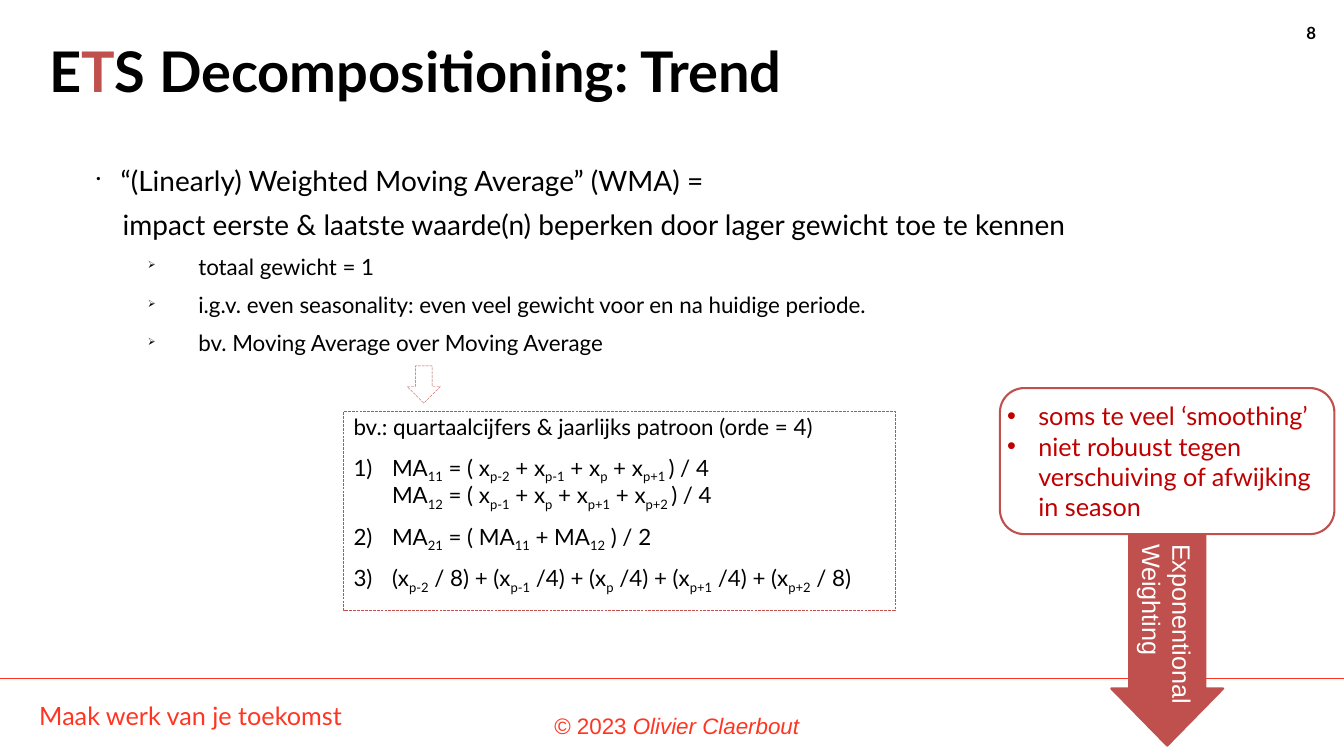
from collections import namedtuple

from lxml import etree
from pptx import Presentation
from pptx.dml.color import RGBColor
from pptx.enum.dml import MSO_LINE
from pptx.enum.shapes import MSO_CONNECTOR, MSO_SHAPE
from pptx.enum.text import MSO_ANCHOR, PP_ALIGN
from pptx.oxml.ns import qn
from pptx.util import Cm, Pt

BLACK = RGBColor(0x00, 0x00, 0x00)
WHITE = RGBColor(0xFF, 0xFF, 0xFF)
BRICK = RGBColor(0xC0, 0x50, 0x4D)
DARK_RED = RGBColor(0xC0, 0x00, 0x00)
FOOTER_RED = RGBColor(0xFF, 0x35, 0x21)

RECTANGLE = MSO_SHAPE.RECTANGLE
DOWN_ARROW = MSO_SHAPE.DOWN_ARROW
RIGHT_ARROW = MSO_SHAPE.RIGHT_ARROW
ROUNDED_BOX = MSO_SHAPE.FLOWCHART_ALTERNATE_PROCESS
STRAIGHT = MSO_CONNECTOR.STRAIGHT
LONG_DASH = MSO_LINE.LONG_DASH
MIDDLE = MSO_ANCHOR.MIDDLE
TOP = MSO_ANCHOR.TOP
LEFT = PP_ALIGN.LEFT
RIGHT = PP_ALIGN.RIGHT

SLIDE_WIDTH, SLIDE_HEIGHT = 33.87, 19.05

Box = namedtuple("Box", "left top width height")

BODY_LINES = [
    # text, size, left margin, indent, bullet
    ("“(Linearly) Weighted Moving Average” (WMA) =", 20, 1.19, -0.61, "•"),
    ("impact eerste & laatste waarde(n) beperken door lager gewicht toe te kennen",
     20, 1.24, 0, None),
    ("totaal gewicht = 1", 16, 3.15, -1.27, "➢"),
    ("i.g.v. even seasonality: even veel gewicht voor en na huidige periode.",
     16, 3.15, -1.27, "➢"),
    ("bv. Moving Average over Moving Average", 16, 3.15, -1.27, "➢"),
]

# Text between bars is subscript; a newline is a line break.
FORMULA_STEPS = [
    "MA|11| = ( x|p-2| + x|p-1| + x|p| + x|p+1 |) / 4\n"
    "MA|12| = ( x|p-1| + x|p| + x|p+1| + x|p+2 |) / 4",
    "MA|21| = ( MA|11| + MA|12| ) / 2",
    "(x|p-2| / 8) + (x|p-1| /4) + (x|p| /4) + (x|p+1| /4) + (x|p+2| / 8)",
]

DRAWBACKS = [
    "soms te veel ‘smoothing’",
    "niet robuust tegen verschuiving of afwijking in season",
]


def lengths(box):
    return [Cm(value) for value in box]


def add_text(slide, box):
    text_frame = slide.shapes.add_textbox(*lengths(box)).text_frame
    text_frame.word_wrap = True
    return text_frame


def add_outlined(slide, kind, box, line_width, fill=None, dash=None):
    shape = slide.shapes.add_shape(kind, *lengths(box))
    shape.shadow.inherit = False
    if fill is None:
        shape.fill.background()
    else:
        shape.fill.solid()
        shape.fill.fore_color.rgb = fill
    shape.line.color.rgb = BRICK
    shape.line.width = Pt(line_width)
    shape.line.dash_style = dash
    return shape


def next_paragraph(text_frame):
    """Return the first paragraph while it is empty, else a new one."""
    first = text_frame.paragraphs[0]
    paragraph = text_frame.add_paragraph() if first.runs else first
    paragraph.alignment = LEFT
    return paragraph


def add_run(paragraph, text, size, color=BLACK, font="Lato", **flags):
    run = paragraph.add_run()
    run.text = text
    run.font.name = font
    run.font.size = Pt(size)
    run.font.color.rgb = color
    run.font.bold = flags.get("bold")
    run.font.italic = flags.get("italic")
    return run


def loosen(paragraph):
    paragraph.line_spacing = 0.9
    paragraph.space_before = Pt(10)


def add_bullet(paragraph, margin, indent, *marks):
    """Set the hanging indent and append (tag, attributes) bullet marks."""
    properties = paragraph._p.get_or_add_pPr()
    properties.set("marL", str(Cm(margin)))
    properties.set("indent", str(Cm(indent)))
    for tag, attributes in marks:
        etree.SubElement(properties, qn(tag), attributes)


def add_formula(paragraph, formula):
    for index, part in enumerate(formula.split("|")):
        for line_index, text in enumerate(part.split("\n")):
            if line_index:
                paragraph.add_line_break()
            run = add_run(paragraph, text, 16)
            if index % 2:
                run._r.get_or_add_rPr().set("baseline", "-25000")


def draw_title(slide, box):
    paragraph = next_paragraph(add_text(slide, box))
    paragraph.line_spacing = 0.9
    for text, color in (("E", BLACK), ("T", BRICK), ("S Decompositioning: Trend", BLACK)):
        add_run(paragraph, text, 40, color, bold=True)


def draw_slide_number(slide, box):
    paragraph = next_paragraph(add_text(slide, box))
    paragraph.alignment = RIGHT
    add_run(paragraph, "8", 12, bold=True)


def draw_body(slide, box):
    text_frame = add_text(slide, box)
    for text, size, margin, indent, bullet in BODY_LINES:
        paragraph = next_paragraph(text_frame)
        loosen(paragraph)
        marks = [("a:buSzPct", {"val": "45000"}), ("a:buChar", {"char": bullet})]
        add_bullet(paragraph, margin, indent, *(marks if bullet else []))
        add_run(paragraph, text, size)


def draw_example(slide, box):
    """Draw the dashed formula box and the small arrow that leads to it."""
    arrow_box = Box(box.left + 1.6, box.top - 1.14, 0.84, 0.94)
    add_outlined(slide, DOWN_ARROW, arrow_box, 0.25, dash=LONG_DASH)

    text_frame = add_outlined(slide, RECTANGLE, box, 0.25, dash=LONG_DASH).text_frame
    text_frame.vertical_anchor = TOP
    heading = next_paragraph(text_frame)
    loosen(heading)
    add_run(heading, "bv.: quartaalcijfers & jaarlijks patroon (orde = 4)", 16)
    for formula in FORMULA_STEPS:
        paragraph = next_paragraph(text_frame)
        loosen(paragraph)
        add_bullet(paragraph, 0.97, -0.97, ("a:buAutoNum", {"type": "arabicParenR"}))
        add_formula(paragraph, formula)


def draw_drawbacks(slide, box):
    """Draw the rounded box and the large arrow that hangs centred below it."""
    length, breadth = 5.33, 2.82
    center_x = box.left + box.width / 2
    center_y = box.top + box.height + length / 2
    arrow_box = Box(center_x - length / 2, center_y - breadth / 2, length, breadth)
    arrow = add_outlined(slide, RIGHT_ARROW, arrow_box, 1.5, fill=BRICK)
    arrow.rotation = 90
    arrow.adjustments[0] = 0.68
    arrow.adjustments[1] = 0.51
    arrow.text_frame.vertical_anchor = MIDDLE
    arrow.text_frame.margin_right = 0
    for text in ("Exponentional", "Weighting"):
        add_run(next_paragraph(arrow.text_frame), text, 18, WHITE, "Arial")

    text_frame = add_outlined(slide, ROUNDED_BOX, box, 1.5, fill=WHITE).text_frame
    text_frame.vertical_anchor = MIDDLE
    text_frame.margin_left = text_frame.margin_right = 0
    for text in DRAWBACKS:
        paragraph = next_paragraph(text_frame)
        add_bullet(paragraph, 0.79, -0.79,
                   ("a:buFont", {"typeface": "Arial"}), ("a:buChar", {"char": "•"}))
        add_run(paragraph, text, 18, DARK_RED)


def draw_footer(slide, box):
    rule = slide.shapes.add_connector(
        STRAIGHT, *lengths((box.left, box.top, box.left + box.width, box.top)))
    rule.line.color.rgb = FOOTER_RED
    rule.line.width = Pt(0.75)
    etree.SubElement(rule._element.spPr, qn("a:effectLst"))

    slogan_box = Box(box.left + 0.74, box.top + 0.44, 21.59, 1.02)
    add_run(next_paragraph(add_text(slide, slogan_box)),
            "Maak werk van je toekomst", 18, FOOTER_RED)

    credit_box = Box(box.left + 13.72, box.top + 0.72, 6.68, 0.89)
    credit = next_paragraph(add_text(slide, credit_box))
    add_run(credit, "© 2023 ", 16, FOOTER_RED, "Arial")
    add_run(credit, "Olivier Claerbout", 16, FOOTER_RED, "Arial", italic=True)


def main():
    presentation = Presentation()
    presentation.slide_width = Cm(SLIDE_WIDTH)
    presentation.slide_height = Cm(SLIDE_HEIGHT)
    slide = presentation.slides.add_slide(presentation.slide_layouts[6])
    draw_footer(slide, Box(0, 17.09, SLIDE_WIDTH, 1.96))
    draw_slide_number(slide, Box(32.18, 0.46, 1.24, 0.76))
    draw_title(slide, Box(0.99, 0.99, 31.19, 3.68))
    draw_body(slide, Box(1.6, 4.09, 30.68, 5.69))
    draw_example(slide, Box(8.66, 10.36, 13.89, 5.03))
    draw_drawbacks(slide, Box(25.2, 9.78, 8.43, 3.68))
    presentation.save("out.pptx")


if __name__ == "__main__":
    main()
